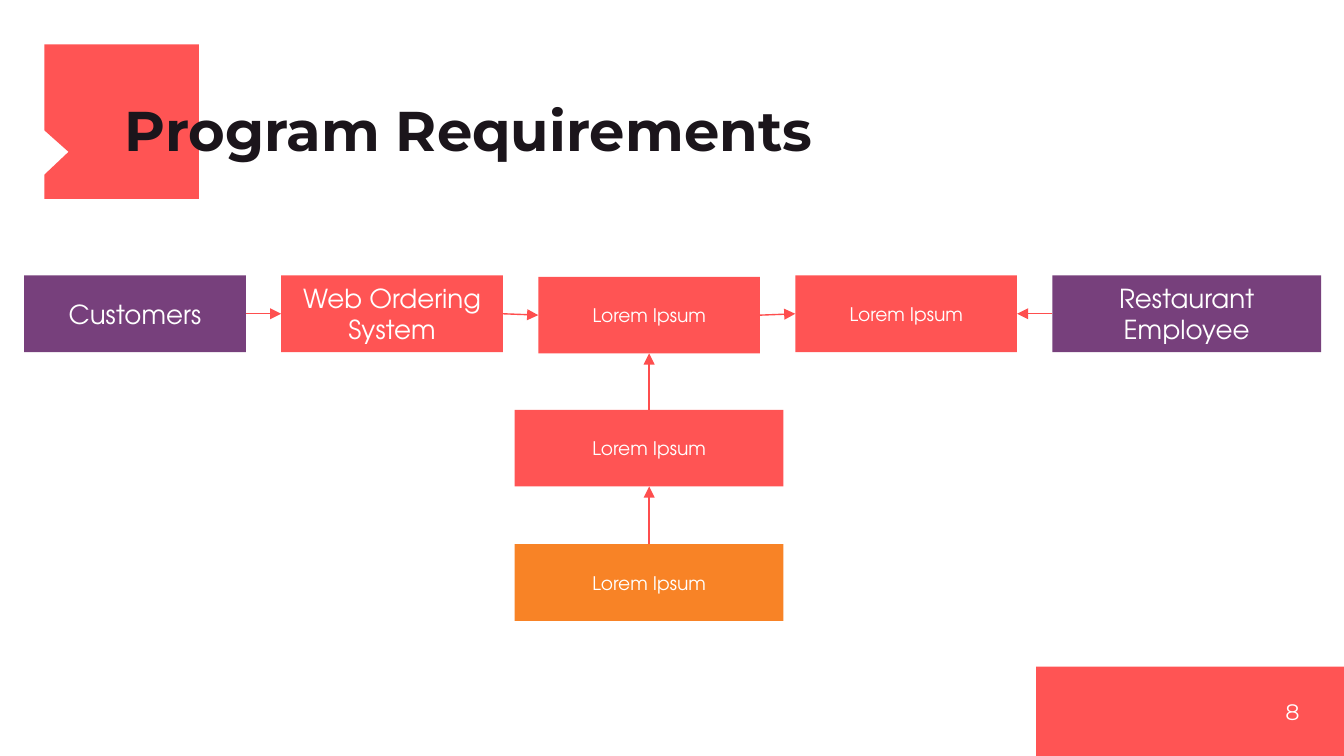
from dataclasses import dataclass

from lxml import etree
from pptx import Presentation
from pptx.dml.color import RGBColor
from pptx.enum.shapes import MSO_CONNECTOR, MSO_SHAPE
from pptx.enum.text import MSO_ANCHOR as Anchor, PP_ALIGN as Align
from pptx.oxml.ns import qn
from pptx.util import Inches, Pt

TOP, LEFT, BOTTOM, RIGHT = range(4)


@dataclass(frozen=True)
class Theme:
    coral: str = "FF5454"
    arrow: str = "FE4E4E"
    purple: str = "77407C"
    orange: str = "F88326"
    ink: str = "1B151B"
    white: str = "FFFFFF"
    heading: str = "Montserrat"
    body: str = "TeX Gyre Adventor"
    title_size: int = 30
    role_size: int = 14
    page_size: int = 12
    step_size: int = 10
    arrow_width: float = 0.75


THEME = Theme()


def rgb(value):
    return RGBColor.from_string(value)


def paint(shape, color):
    shape.shadow.inherit = False
    shape.fill.solid()
    shape.fill.fore_color.rgb = rgb(color)
    shape.line.fill.background()


def write(shape, text, size, font, color, align, anchor, inset=0, bold=False, spacing=None):
    frame = shape.text_frame
    margin = Inches(inset)
    frame_format = {"word_wrap": True, "vertical_anchor": anchor,
                    "margin_left": margin, "margin_right": margin,
                    "margin_top": margin, "margin_bottom": margin}
    para = frame.paragraphs[0]
    span = para.add_run()
    span.text = text
    for target, values in (
        (frame, frame_format),
        (para, {"alignment": align, "line_spacing": spacing}),
        (span.font, {"name": font, "size": Pt(size), "bold": bold}),
    ):
        for name, value in values.items():
            setattr(target, name, value)
    span.font.color.rgb = rgb(color)


def add_rect(page, box, color):
    shape = page.shapes.add_shape(MSO_SHAPE.RECTANGLE, *map(Inches, box))
    paint(shape, color)
    return shape


def add_step(page, box, text, color, size):
    step = add_rect(page, box, color)
    write(step, text, size, THEME.body, THEME.white, Align.CENTER, Anchor.MIDDLE, inset=0.1)
    return step


def add_arrow(page, source, source_side, target, target_side):
    arrow = page.shapes.add_connector(MSO_CONNECTOR.STRAIGHT, 0, 0, 0, 0)
    arrow.begin_connect(source, source_side)
    arrow.end_connect(target, target_side)
    arrow.line.color.rgb = rgb(THEME.arrow)
    arrow.line.width = Pt(THEME.arrow_width)
    line = arrow._element.spPr.find(qn("a:ln"))
    etree.SubElement(line, qn("a:tailEnd"), type="triangle")
    etree.SubElement(arrow._element.spPr, qn("a:effectLst"))


def add_header(page, box):
    left, top, width, height = box
    # Square with a notch in its left side
    side = height
    outline = [(side, 0), (side, side), (0, side), (0, 0.97), (0.18, 0.8), (0, 0.64)]
    builder = page.shapes.build_freeform(Inches(left), Inches(top), scale=1.0)
    builder.add_line_segments([(Inches(left + x), Inches(top + y)) for x, y in outline])
    paint(builder.convert_to_shape(), THEME.coral)
    # Title
    title = page.shapes.add_textbox(
        Inches(left + 0.6), Inches(top + 0.45), Inches(width - 0.6), Inches(height - 0.72))
    write(title, "Program Requirements", THEME.title_size, THEME.heading, THEME.ink,
          Align.LEFT, Anchor.BOTTOM, bold=True, spacing=0.8)


def add_footer(page, box):
    left, top, width, height = box
    add_rect(page, box, THEME.coral)
    number = page.shapes.add_textbox(
        Inches(left + width - 1), Inches(top), Inches(0.67), Inches(height))
    write(number, "8", THEME.page_size, THEME.heading, THEME.white, Align.RIGHT, Anchor.MIDDLE)


def add_flow(page, box):
    left, top, width, height = box
    step_height, wide = 0.57, 2

    # Main row: text, colour, size, width, drop
    row = [
        ("Customers", THEME.purple, THEME.role_size, 1.65, 0),
        ("Web Ordering System", THEME.coral, THEME.role_size, 1.65, 0),
        ("Lorem Ipsum", THEME.coral, THEME.step_size, 1.65, 0.01),
        ("Lorem Ipsum", THEME.coral, THEME.step_size, 1.65, 0),
        ("Restaurant Employee", THEME.purple, THEME.role_size, wide, 0),
    ]
    gap = (width - sum(item[3] for item in row)) / (len(row) - 1)
    steps, x = [], left
    for text, color, size, step_width, drop in row:
        steps.append(add_step(page, (x, top + drop, step_width, step_height), text, color, size))
        x += step_width + gap
    customers, ordering, hub, output, employee = steps

    # Column under the hub, from the bottom up
    center = (hub.left + hub.width / 2) / Inches(1)
    pitch = (height - step_height) / 2
    base, middle = [
        add_step(page, (center - wide / 2, top + level * pitch, wide, step_height),
                 "Lorem Ipsum", color, THEME.step_size)
        for level, color in ((2, THEME.orange), (1, THEME.coral))
    ]

    # Arrows
    for source, source_side, target, target_side in (
        (customers, RIGHT, ordering, LEFT),
        (ordering, RIGHT, hub, LEFT),
        (hub, RIGHT, output, LEFT),
        (employee, LEFT, output, RIGHT),
        (base, TOP, middle, BOTTOM),
        (middle, TOP, hub, BOTTOM),
    ):
        add_arrow(page, source, source_side, target, target_side)


def main():
    deck = Presentation()
    # Widescreen, 16:9
    deck.slide_width, deck.slide_height = Inches(10), Inches(10 * 9 / 16)
    page = deck.slides.add_slide(deck.slide_layouts[6])
    add_header(page, (0.33, 0.33, 6.21, 1.15))
    add_footer(page, (7.71, 4.96, 2.29, 0.67))
    add_flow(page, (0.18, 2.05, 9.65, 2.57))
    deck.save("out.pptx")


if __name__ == "__main__":
    main()
